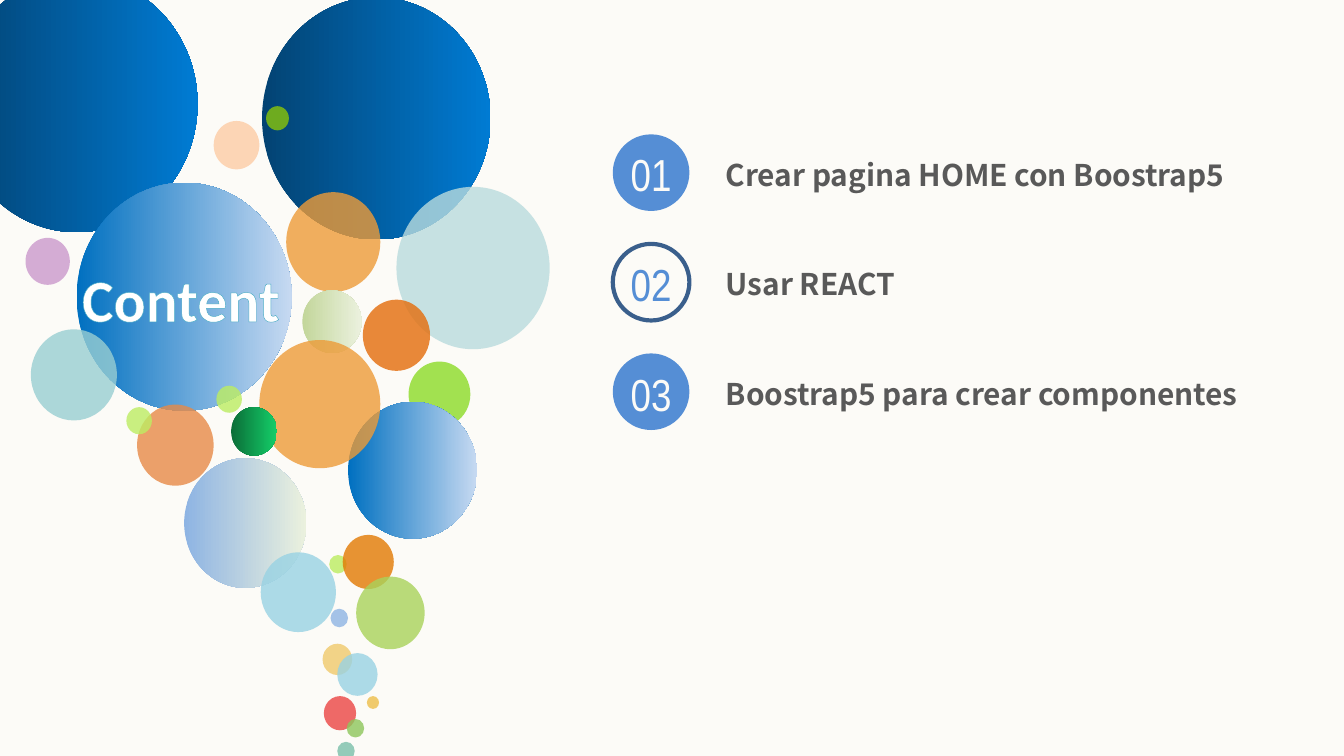
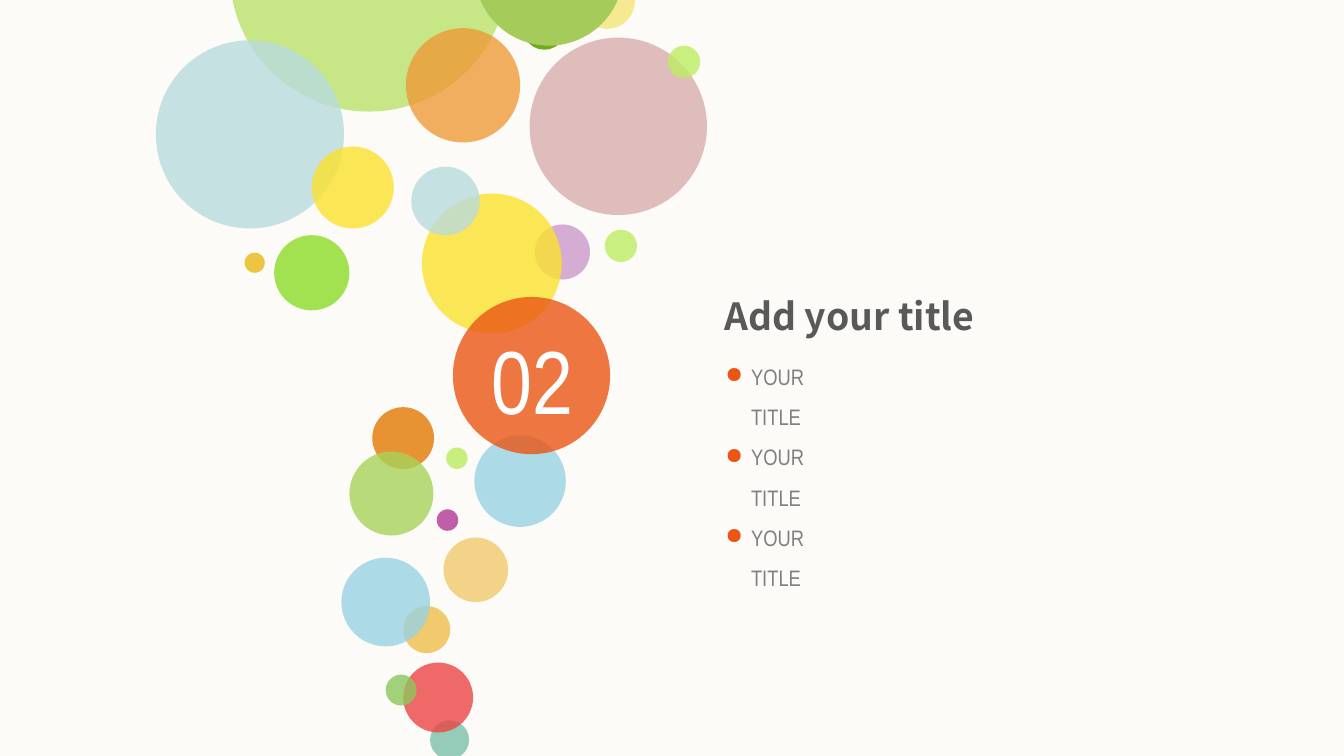
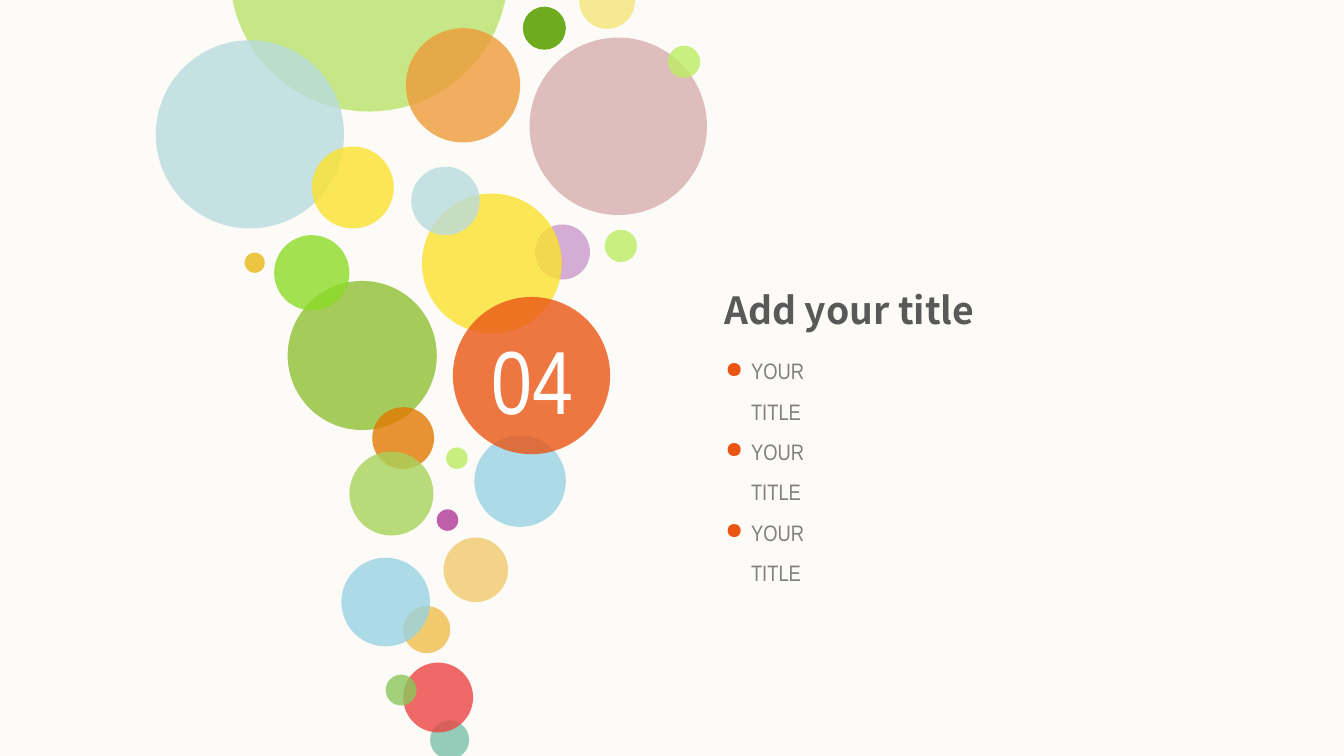
import pptx
import pptx.dml.color
import pptx.enum.shapes
import pptx.enum.text
import pptx.oxml
import pptx.oxml.ns
import pptx.util

COLUMNS, ROWS = 100, 56.25
CELL = pptx.util.Inches(10) // COLUMNS

PAPER, WHITE = "FCFBF7", "FFFFFF"
BADGE_BLUE, BADGE_RING = "558ED5", "3A5F8C"
HEADING_GREY, BODY_GREY, ACCENT = "595959", "808080", "EA5514"
NAVY_FADE = ("034373", "007BD3")
SKY_FADE = ("0070C0", "C6D9F1")
NUMBER_FONT, HEADING_FONT, COVER_FONT = "Arial Narrow", "Noto Sans CJK SC", "Calibri"

GOALS = ["Crear pagina HOME con Boostrap5", "Usar REACT", "Boostrap5 para crear componentes"]
GOAL_TOP, GOAL_STEP, BADGE_SIZE = 10, 8.15, 5.7

BALLOON_STRETCH = 1.06
BALLOONS = [
    (19.5, -0.2, 17, NAVY_FADE, 100),
    (19.8, 7.9, 1.7, "6EAB1F", 100),
    (29.5, 13.9, 11.4, "B9DBDD"),
    (21.3, 14.3, 7, "ED9B38"),
    (15.9, 9, 3.4, "FCD5B5", 100),
    (-3.3, -1.8, 18, NAVY_FADE, 100),
    (5.7, 13.6, 16, SKY_FADE, 100),
    (2.3, 24.5, 6.4, "99CED2"),
    (1.9, 17.7, 3.3, "CB99CC"),
    (10.2, 30.1, 5.7, "E78A47"),
    (13.7, 34.1, 9.1, ("8EB4E3", "EBF1DE"), 100),
    (9.4, 30.3, 1.9, "BDED63"),
    (16.1, 28.7, 1.9, "BCED61"),
    (27, 22.3, 5, "E46C0A"),
    (30.4, 26.9, 4.6, "8CDB27"),
    (24.5, 41.3, 1.3, "BCED60"),
    (24.6, 45.3, 1.3, "8EB4E3"),
    (24, 47.9, 2.2, "F0CA6C"),
    (27.3, 51.8, 0.9, "F0CA6C", 100),
    (25.1, 55.2, 1.3, "7BBFAA"),
    (24.1, 51.8, 2.4, "EB4544"),
    (25.8, 53.5, 1.3, "8DC65B"),
    (25.1, 48.6, 3, "98D2E3"),
    (19.4, 41.1, 5.6, "98D2E3"),
    (25.5, 39.8, 3.8, "E27902"),
    (26.5, 42.9, 5.1, "A9D25A"),
    (25.9, 29.9, 9.6, SKY_FADE, 100),
    (22.5, 21.6, 4.4, ("C3D69B", "EBF1DE"), 100),
    (19.3, 25.3, 9, "ED9B38"),
    (17.2, 30.3, 3.4, ("0B6E38", "14CD68"), 100),
]

BACK_BUBBLES = [
    (17.1, -12.4, 20.7, "BAE36B"),
    (38.9, 0.5, 3.2, "6EAB1F", 100),
    (11.6, 3, 14, "B9DBDD"),
    (30.2, 2.1, 8.5, "ED9B38"),
    (43.1, -2, 4.15, "F5EA91", 100),
    (39.4, 2.8, 13.2, "D8AEAF"),
]
FRONT_BUBBLES = [
    (49.7, 3.4, 2.4, "BDED63"),
    (45, 17.1, 2.4, "BCED61"),
    (39.8, 16.7, 4.1, "CB99CC"),
    (31.4, 14.4, 10.4, "FBE22D"),
    (23.2, 10.9, 6.1, "FBE22D"),
    (20.4, 17.5, 5.6, "8CDB27"),
    (18.2, 18.8, 1.5, "E9B915"),
    (33.2, 33.3, 1.6, "BCED60"),
    (32.5, 37.9, 1.6, "B03896"),
    (33, 40, 4.8, "F0CA6C"),
    (30, 45.1, 3.5, "F0CA6C", 100),
    (32, 53.6, 2.9, "7BBFAA"),
    (30, 49.3, 5.2, "EB4544"),
    (28.7, 50.2, 2.3, "8DC65B"),
    (25.4, 41.5, 6.6, "98D2E3"),
    (30.6, 12.4, 5.1, "B9DBDD"),
    (35.3, 32.4, 6.8, "98D2E3"),
    (27.7, 30.3, 4.6, "E27902"),
    (26, 33.6, 6.25, "A9D25A"),
    (33.7, 22.1, 11.7, ACCENT),
]


def cells(count):
    return round(count * CELL)


def paint(color_format, colour):
    color_format.rgb = pptx.dml.color.RGBColor.from_string(colour)


def solid(fill, colour, opacity=100):
    fill.solid()
    paint(fill.fore_color, colour)
    if opacity < 100:
        tint = fill._xPr.find(".//" + pptx.oxml.ns.qn("a:srgbClr"))
        tint.append(xml(f'<a:alpha {{ns}} val="{opacity * 1000}"/>'))


def xml(markup):
    return pptx.oxml.parse_xml(markup.format(ns=pptx.oxml.ns.nsdecls("a")))


def add_circle(slide, left, top, width, height):
    circle = slide.shapes.add_shape(
        pptx.enum.shapes.MSO_SHAPE.OVAL, cells(left), cells(top), cells(width), cells(height))
    circle.shadow.inherit = False
    circle.line.fill.background()
    return circle


def add_bubble(slide, left, top, size, colour, opacity=80, stretch=1):
    bubble = add_circle(slide, left, top, size, size * stretch)
    if isinstance(colour, tuple):
        bubble.fill.gradient()
        bubble.fill.gradient_angle = 0
        for stop, shade in zip(bubble.fill.gradient_stops, colour):
            paint(stop.color, shade)
    else:
        solid(bubble.fill, colour, opacity)


def format_runs(paragraph, font, size, colour, bold=False):
    for run in paragraph.runs:
        run.font.name = font
        run.font.size = pptx.util.Pt(size)
        run.font.bold = bold
        paint(run.font.color, colour)


def prepare_frame(frame, side_inset=0, top_inset=0):
    frame.word_wrap = True
    frame.auto_size = pptx.enum.text.MSO_AUTO_SIZE.SHAPE_TO_FIT_TEXT
    frame.vertical_anchor = pptx.enum.text.MSO_ANCHOR.TOP
    frame.margin_left = frame.margin_right = cells(side_inset)
    frame.margin_top = frame.margin_bottom = cells(top_inset)


def add_label(slide, box, text, font, size, colour, bold=False, centred=False):
    frame = slide.shapes.add_textbox(*map(cells, box)).text_frame
    prepare_frame(frame)
    frame.text = text
    if centred:
        frame.paragraphs[0].alignment = pptx.enum.text.PP_ALIGN.CENTER
    format_runs(frame.paragraphs[0], font, size, colour, bold)


def place_title(slide, box, text, font, size, colour, insets=(0, 0)):
    title = slide.shapes.title
    title.left, title.top, title.width, title.height = map(cells, box)
    prepare_frame(title.text_frame, *insets)
    title.text_frame.text = text
    heading = title.text_frame.paragraphs[0]
    heading.alignment = pptx.enum.text.PP_ALIGN.LEFT
    format_runs(heading, font, size, colour, bold=True)
    slide.shapes._spTree.append(title._element)
    return heading


def add_bullets(slide, box, lines):
    frame = slide.shapes.add_textbox(*map(cells, box)).text_frame
    prepare_frame(frame, side_inset=1, top_inset=0.5)
    frame.text = "\n".join(lines)
    for paragraph in frame.paragraphs:
        properties = paragraph._p.get_or_add_pPr()
        properties.set("marL", str(cells(1.9)))
        properties.set("indent", str(-cells(1.9)))
        properties.append(xml(f'<a:buClr {{ns}}><a:srgbClr val="{ACCENT}"/></a:buClr>'))
        properties.append(xml('<a:buChar {ns} char="●"/>'))
        paragraph.line_spacing = 1.5
        format_runs(paragraph, NUMBER_FONT, 12, BODY_GREY)


def add_goal(slide, index, goal):
    left, top = 45.6, GOAL_TOP + index * GOAL_STEP
    badge = add_circle(slide, left, top, BADGE_SIZE, BADGE_SIZE)
    hollow = index % 2 == 1
    if hollow:
        badge.fill.background()
        solid(badge.line.fill, BADGE_RING)
        badge.line.width = pptx.util.Pt(2.25)
    else:
        solid(badge.fill, BADGE_BLUE)
    add_label(slide, (left, top + 0.95, BADGE_SIZE, 4), f"{index + 1:02}",
              NUMBER_FONT, 24, BADGE_BLUE if hollow else PAPER, centred=True)
    add_label(slide, (54, top + 1.65, 40.2, 3), goal, HEADING_FONT, 16, HEADING_GREY, bold=True)


def add_content_slide(deck, layout):
    slide = deck.slides.add_slide(layout)
    for balloon in BALLOONS:
        add_bubble(slide, *balloon, stretch=BALLOON_STRETCH)
    for index, goal in enumerate(GOALS):
        add_goal(slide, index, goal)
    heading = place_title(slide, (5.1, 19, 16.9, 6.4), "Content", COVER_FONT, 32, WHITE, (1, 0.5))
    outline = xml('<a:ln {ns} w="10160"><a:solidFill><a:srgbClr val="4BACC6"/></a:solidFill></a:ln>')
    heading.runs[0]._r.get_or_add_rPr().insert(0, outline)


def add_section_slide(deck, layout, number, leaf_left, leaf_top, title_top):
    slide = deck.slides.add_slide(layout)
    leaf = (leaf_left, leaf_top, 11.1, "A5CB5A", 100)
    for bubble in BACK_BUBBLES + [leaf] + FRONT_BUBBLES:
        add_bubble(slide, *bubble)
    add_label(slide, (35.6, 24.2, 8, 8.1), number, NUMBER_FONT, 48, WHITE, centred=True)
    place_title(slide, (53.9, title_top, 30.4, 3.4), "Add your title", HEADING_FONT, 20, HEADING_GREY)
    add_bullets(slide, (53, title_top + 3.7, 11, 10.1), ["YOUR TITLE"] * 3)


def main():
    deck = pptx.Presentation()
    deck.slide_width, deck.slide_height = cells(COLUMNS), cells(ROWS)
    solid(deck.slide_master.background.fill, PAPER)
    title_only = deck.slide_layouts[5]
    add_content_slide(deck, title_only)
    add_section_slide(deck, title_only, "02", 35.3, -7.7, 21.8)
    add_section_slide(deck, title_only, "04", 21.4, 20.9, 21.4)
    deck.save("out.pptx")


if __name__ == "__main__":
    main()
